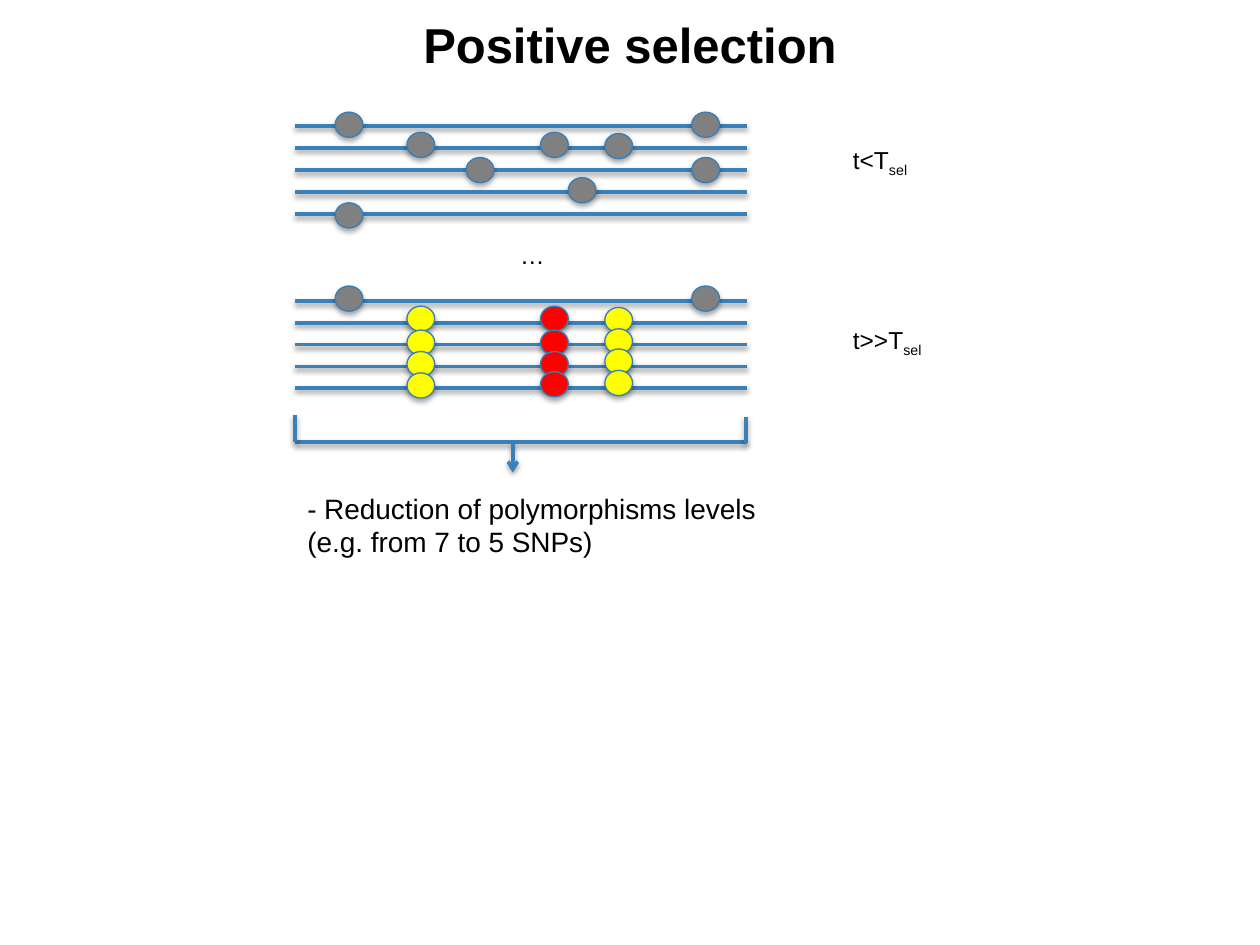
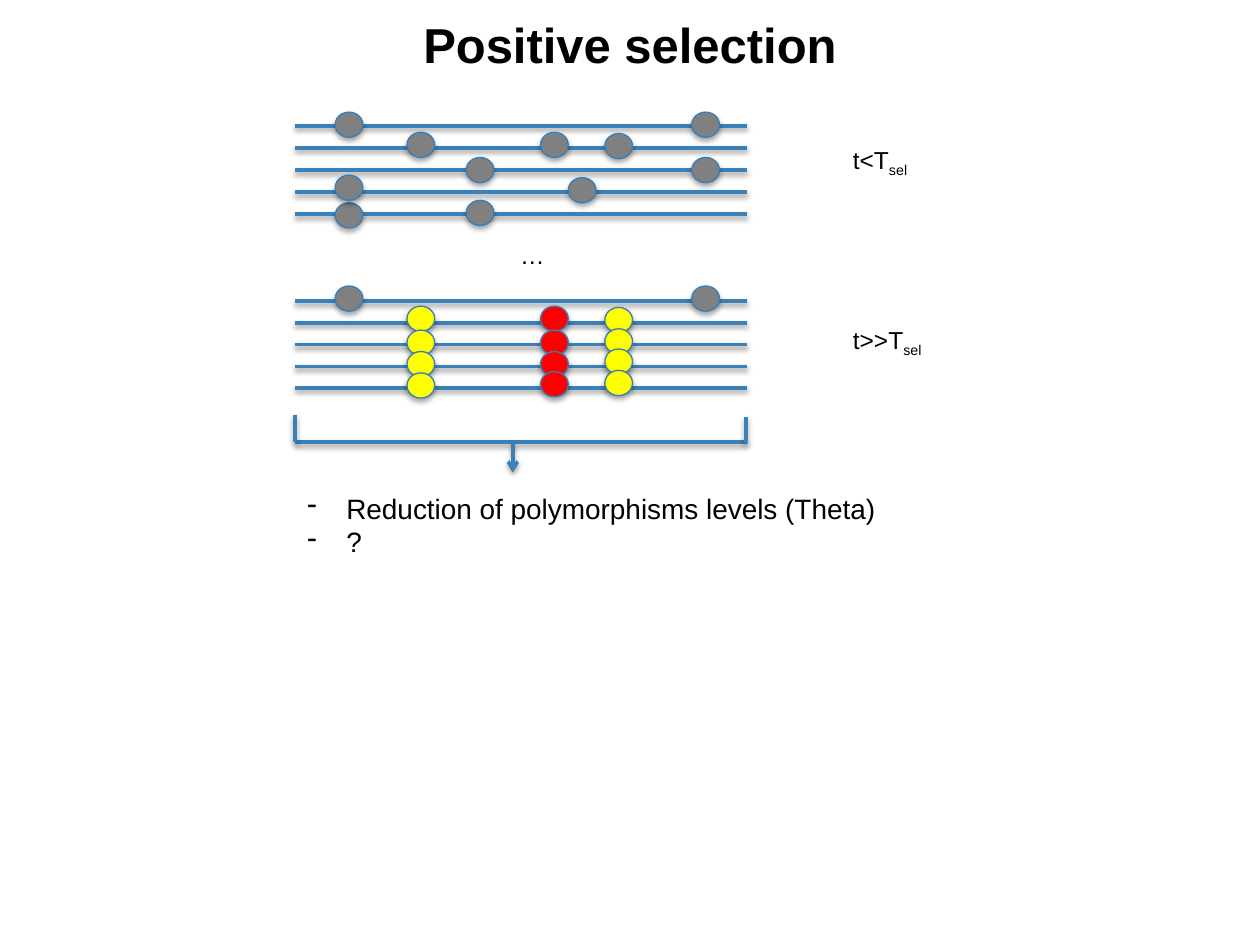
"""Build two slides on how positive selection reduces polymorphism."""
from lxml import etree
from pptx import Presentation
from pptx.dml.color import RGBColor
from pptx.enum.shapes import MSO_CONNECTOR, MSO_SHAPE
from pptx.enum.text import MSO_ANCHOR, MSO_AUTO_SIZE, PP_ALIGN
from pptx.oxml import parse_xml
from pptx.oxml.ns import nsdecls, qn
from pptx.util import Inches, Pt

BLACK = RGBColor(0x00, 0x00, 0x00)
GRAY = RGBColor(0x80, 0x80, 0x80)
YELLOW = RGBColor(0xFF, 0xFF, 0x00)
RED = RGBColor(0xFF, 0x00, 0x00)
STRAND_BLUE = RGBColor(0x3A, 0x81, 0xBA)
OUTLINE_BLUE = RGBColor(0x36, 0x7E, 0xB9)
FONT = "Arial"
STRAIGHT = MSO_CONNECTOR.STRAIGHT
OVAL = MSO_SHAPE.OVAL
LEFT, CENTER = PP_ALIGN.LEFT, PP_ALIGN.CENTER
TOP, MIDDLE = MSO_ANCHOR.TOP, MSO_ANCHOR.MIDDLE
GROW, FIXED = MSO_AUTO_SIZE.SHAPE_TO_FIT_TEXT, MSO_AUTO_SIZE.NONE


def write(slide, lines, box, size=14, bold=False, align=LEFT, anchor=TOP,
          wrap=True, fit=GROW, subscript="", bullet=""):
    """Add a text box with one paragraph per line."""
    frame = slide.shapes.add_textbox(*map(Inches, box)).text_frame
    frame.word_wrap = wrap
    frame.auto_size = fit
    frame.vertical_anchor = anchor
    for index, line in enumerate(lines):
        paragraph = frame.paragraphs[0] if index == 0 else frame.add_paragraph()
        paragraph.alignment = align
        if bullet:
            properties = paragraph._p.get_or_add_pPr()
            properties.set("marL", str(Inches(0.31)))
            properties.set("indent", str(Inches(-0.31)))
            etree.SubElement(properties, qn("a:buChar")).set("char", bullet)
        for content in filter(None, (line, subscript)):
            run = paragraph.add_run()
            run.text = content
            run.font.name = FONT
            run.font.size = Pt(size)
            run.font.bold = bold
            run.font.color.rgb = BLACK
            if content == subscript:
                run._r.get_or_add_rPr().set("baseline", "-25000")


def cast_shadow(shape, distance, opacity):
    """Give a shape or connector a soft shadow straight below it."""
    shape._element.spPr.append(parse_xml(
        f'<a:effectLst {nsdecls("a")}><a:outerShdw blurRad="{Pt(3.1)}" '
        f'dist="{Pt(distance)}" dir="5400000" rotWithShape="0">'
        f'<a:srgbClr val="000000"><a:alpha val="{opacity * 1000}"/></a:srgbClr>'
        '</a:outerShdw></a:effectLst>'))


STRAND_START, STRAND_END = 2.34, 5.93
STRAND_COUNT = 5
BRACKET_Y = 3.51
ARROW_X = 4.07

strands = [
    (STRAND_START, y, STRAND_END, y)
    for first, last in ((1, 1.7), (2.39, 3.08))
    for y in (first + i * (last - first) / (STRAND_COUNT - 1)
              for i in range(STRAND_COUNT))
]
bracket = [
    (STRAND_START, BRACKET_Y, STRAND_END, BRACKET_Y),
    (STRAND_START, 3.29, STRAND_START, BRACKET_Y),
    (5.92, 3.31, 5.92, 3.52),
]
arrow = (ARROW_X, BRACKET_Y, ARROW_X, 3.75)

snp_columns = [
    (GRAY, 2.66, (0.89, 1.61, 2.27)),
    (GRAY, 3.23, (1.05,)),
    (GRAY, 3.7, (1.25,)),
    (GRAY, 4.29, (1.05,)),
    (GRAY, 4.51, (1.41,)),
    (GRAY, 4.8, (1.06,)),
    (GRAY, 5.49, (0.89, 1.25, 2.27)),
    (YELLOW, 3.23, (2.43, 2.62, 2.79, 2.96)),
    (RED, 4.29, (2.43, 2.62, 2.79, 2.95)),
    (YELLOW, 4.8, (2.44, 2.61, 2.77, 2.94)),
]
extra_snps = [(GRAY, 2.66, (1.39,)), (GRAY, 3.7, (1.59,))]

versions = [
    ([], ["- Reduction of polymorphisms levels", "(e.g. from 7 to 5 SNPs)"], 3.81, ""),
    (extra_snps, ["Reduction of polymorphisms levels (Theta)", "?"], 4.75, "-"),
]

prs = Presentation()
prs.slide_width, prs.slide_height = Inches(10), Inches(7.5)

for added_snps, effects, effects_width, bullet in versions:
    slide = prs.slides.add_slide(prs.slide_layouts[6])
    write(slide, ["Positive selection"], (0.5, 0.02, 9, 0.66), size=28, bold=True,
          align=CENTER, anchor=MIDDLE, fit=FIXED)

    for ends in strands + bracket + [arrow]:
        strand = slide.shapes.add_connector(STRAIGHT, *map(Inches, ends))
        strand.line.color.rgb = STRAND_BLUE
        strand.line.width = Pt(2)
        if ends == arrow:
            outline = strand._element.spPr.find(qn("a:ln"))
            etree.SubElement(outline, qn("a:tailEnd")).set("type", "arrow")
        cast_shadow(strand, 1.6, 38)

    for color, x, tops in snp_columns + added_snps:
        for y in tops:
            snp = slide.shapes.add_shape(OVAL, *map(Inches, (x, y, 0.22, 0.2)))
            snp.fill.solid()
            snp.fill.fore_color.rgb = color
            snp.line.color.rgb = OUTLINE_BLUE
            snp.line.width = Pt(0.75)
            cast_shadow(snp, 1.8, 35)

    write(slide, ["t<T"], (6.67, 1.1, 1.08, 0.34), subscript="sel")
    write(slide, ["t>>T"], (6.67, 2.53, 1.08, 0.34), subscript="sel")
    write(slide, ["…"], (4.03, 1.86, 0.4, 0.34), wrap=False)
    write(slide, effects, (STRAND_START, 3.85, effects_width, 0.64), size=16,
          wrap=False, bullet=bullet)

prs.save("out.pptx")
